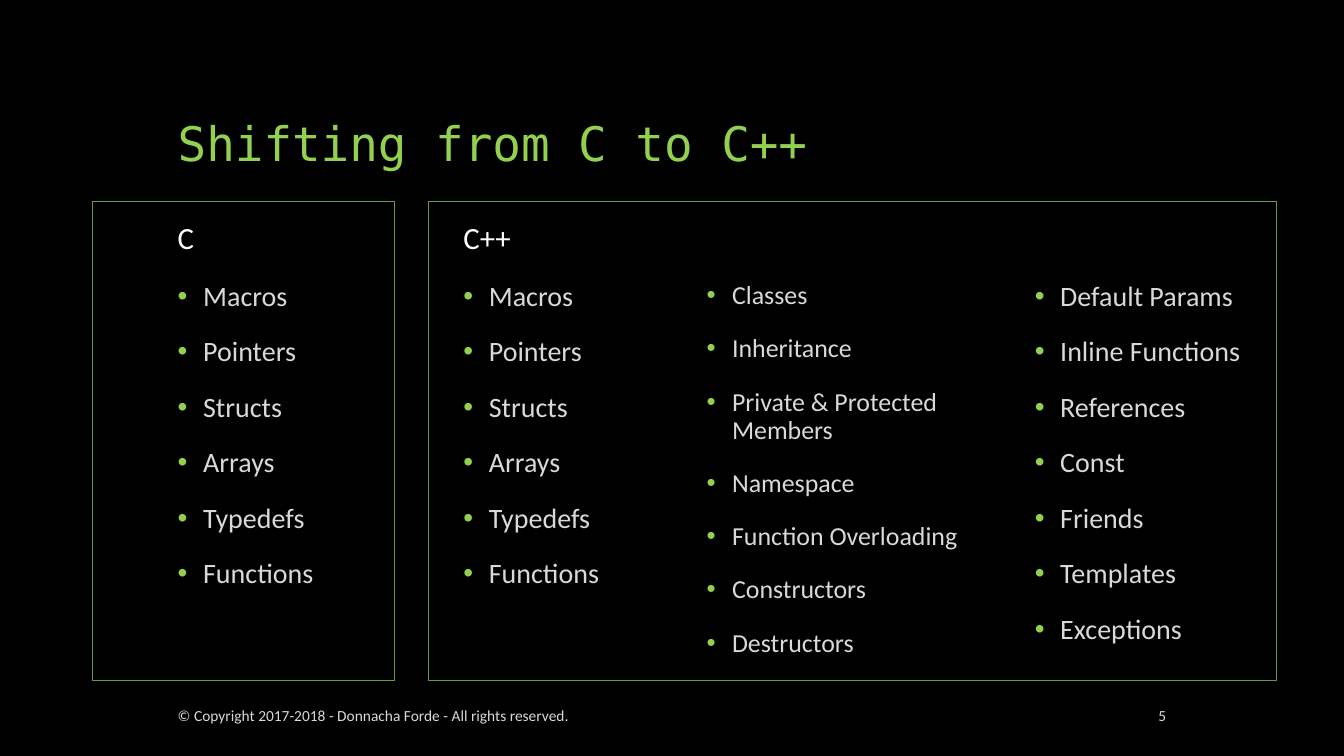
from lxml.etree import SubElement
from pptx import Presentation
from pptx.dml.color import RGBColor
from pptx.enum.shapes import MSO_SHAPE as SHAPE
from pptx.enum.text import MSO_ANCHOR as ANCHOR, PP_ALIGN as ALIGN
from pptx.oxml.ns import qn
from pptx.util import Cm, Pt

COLORS = {
    "background": "000000",
    "accent": "92D050",
    "heading": "FFFFFF",
    "body": "D9D9D9",
    "frame": "6C9A3B",
}

# Text formats
TITLE = {"name": "DejaVu Sans Mono", "size": Pt(34), "color": "accent"}
HEADING = {"name": "Calibri", "size": Pt(22), "color": "heading"}
BODY = {"name": "Calibri", "size": Pt(20), "color": "body"}
BODY_TIGHT = BODY | {"size": Pt(18.5)}
FOOTER = BODY | {"size": Pt(11)}

# Shared positions in cm
TEXT_LEFT = 4.23
CPP_LEFT = 11.43
FRAME_TOP = 5.08
LIST_TOP = 6.99
LIST_HEIGHT = 9.95
FOOTER_TOP = 17.67

C_TOPICS = ["Macros", "Pointers", "Structs", "Arrays", "Typedefs", "Functions"]
CLASS_TOPICS = [
    "Classes", "Inheritance", "Private & Protected Members", "Namespace",
    "Function Overloading", "Constructors", "Destructors",
]
LANGUAGE_TOPICS = [
    "Default Params", "Inline Functions", "References", "Const",
    "Friends", "Templates", "Exceptions",
]


def rgb(name):
    return RGBColor.from_string(COLORS[name])


def add_run(p, text, fmt):
    r = p.add_run()
    r.text = text
    for key, value in fmt.items():
        if key == "color":
            r.font.color.rgb = rgb(value)
        else:
            setattr(r.font, key, value)


def add_frame(slide, left, width):
    box = (Cm(v) for v in (left, FRAME_TOP, width, 12.07))
    sp = slide.shapes.add_shape(SHAPE.RECTANGLE, *box)
    sp.shadow.inherit = False
    sp.fill.background()
    sp.line.color.rgb = rgb("frame")
    sp.line.width = Pt(1)


def add_text_frame(slide, left, top, width, height, anchor):
    sp = slide.shapes.add_textbox(*(Cm(v) for v in (left, top, width, height)))
    tf = sp.text_frame
    tf.word_wrap = True
    tf.vertical_anchor = anchor
    return tf


def add_label(slide, text, box, fmt, anchor=ANCHOR.MIDDLE, **para):
    p = add_text_frame(slide, *box, anchor).paragraphs[0]
    for key, value in para.items():
        setattr(p, key, value)
    add_run(p, text, fmt)


def set_bullet(p):
    pPr = p._p.get_or_add_pPr()
    indent = Cm(0.64)
    pPr.set("marL", str(indent))
    pPr.set("indent", str(-indent))
    color = SubElement(pPr, qn("a:buClr"))
    SubElement(color, qn("a:srgbClr"), val=COLORS["accent"])
    SubElement(pPr, qn("a:buFont"), typeface="Arial")
    SubElement(pPr, qn("a:buChar"), char="•")


def add_bullets(slide, topics, left, width, fmt=BODY):
    tf = add_text_frame(slide, left, LIST_TOP, width, LIST_HEIGHT, ANCHOR.TOP)
    for i, topic in enumerate(topics):
        p = tf.add_paragraph() if i else tf.paragraphs[0]
        p.line_spacing = 0.9
        p.space_before = Pt(18)
        set_bullet(p)
        add_run(p, topic, fmt)


def main():
    prs = Presentation()
    prs.slide_width, prs.slide_height = Cm(33.87), Cm(19.05)
    slide = prs.slides.add_slide(prs.slide_layouts[6])
    slide.background.fill.solid()
    slide.background.fill.fore_color.rgb = rgb("background")

    # Title
    add_label(slide, "Shifting from C to C++", (TEXT_LEFT, 1.27, 25.4, 3.18),
              TITLE, ANCHOR.BOTTOM, line_spacing=0.9)

    # C panel
    add_frame(slide, 2.33, 7.62)
    add_label(slide, "C", (TEXT_LEFT, FRAME_TOP, 7.62, 1.91), HEADING,
              line_spacing=0.9)
    add_bullets(slide, C_TOPICS, TEXT_LEFT, 6.76)

    # C++ panel
    add_frame(slide, 10.8, 21.37)
    add_label(slide, "C++", (CPP_LEFT, FRAME_TOP, 12.07, 1.91), HEADING,
              line_spacing=0.9)
    add_bullets(slide, C_TOPICS, CPP_LEFT, 5.08)
    add_bullets(slide, CLASS_TOPICS, 17.56, 7.42, BODY_TIGHT)
    add_bullets(slide, LANGUAGE_TOPICS, 25.83, 6.76)

    # Footer
    add_label(slide,
              "© Copyright 2017-2018 - Donnacha Forde - All rights reserved.",
              (TEXT_LEFT, FOOTER_TOP, 19.13, 0.71), FOOTER)
    add_label(slide, "5", (27.3, FOOTER_TOP, 2.34, 0.71), FOOTER,
              alignment=ALIGN.RIGHT)

    prs.save("out.pptx")


if __name__ == "__main__":
    main()
